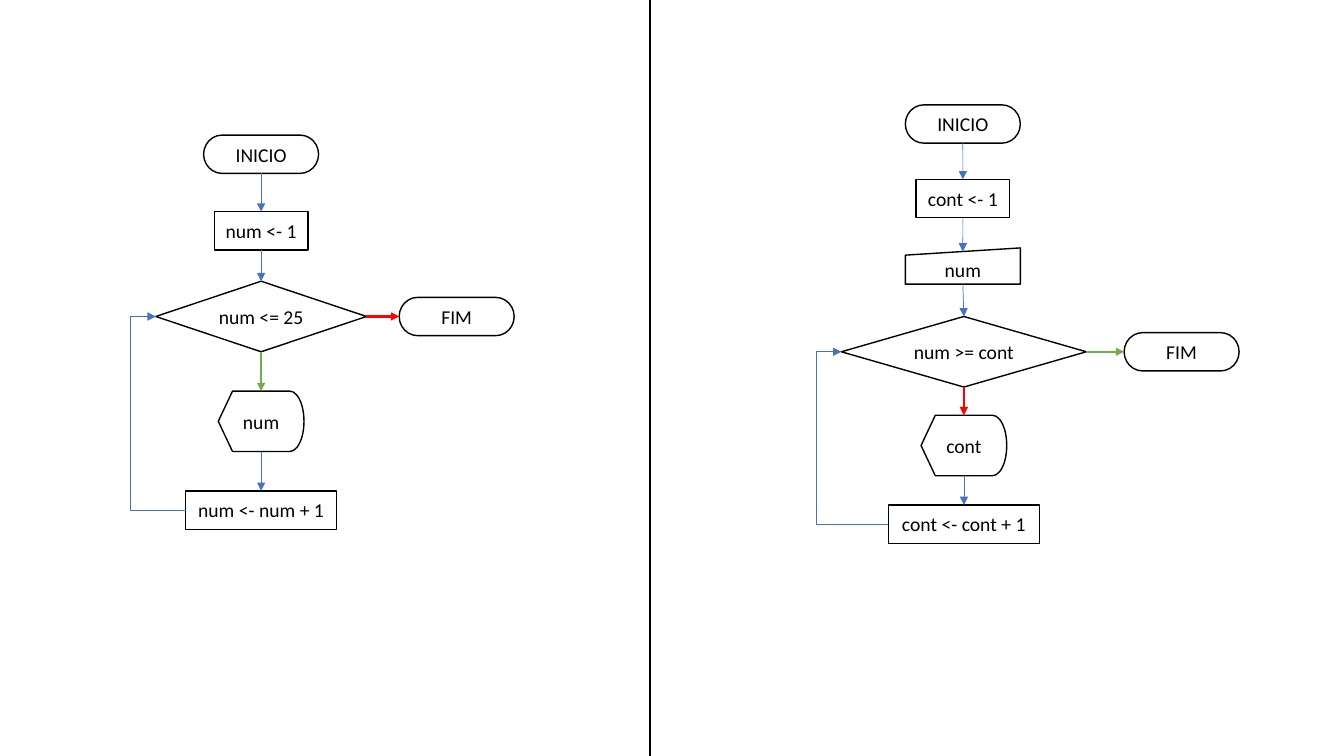
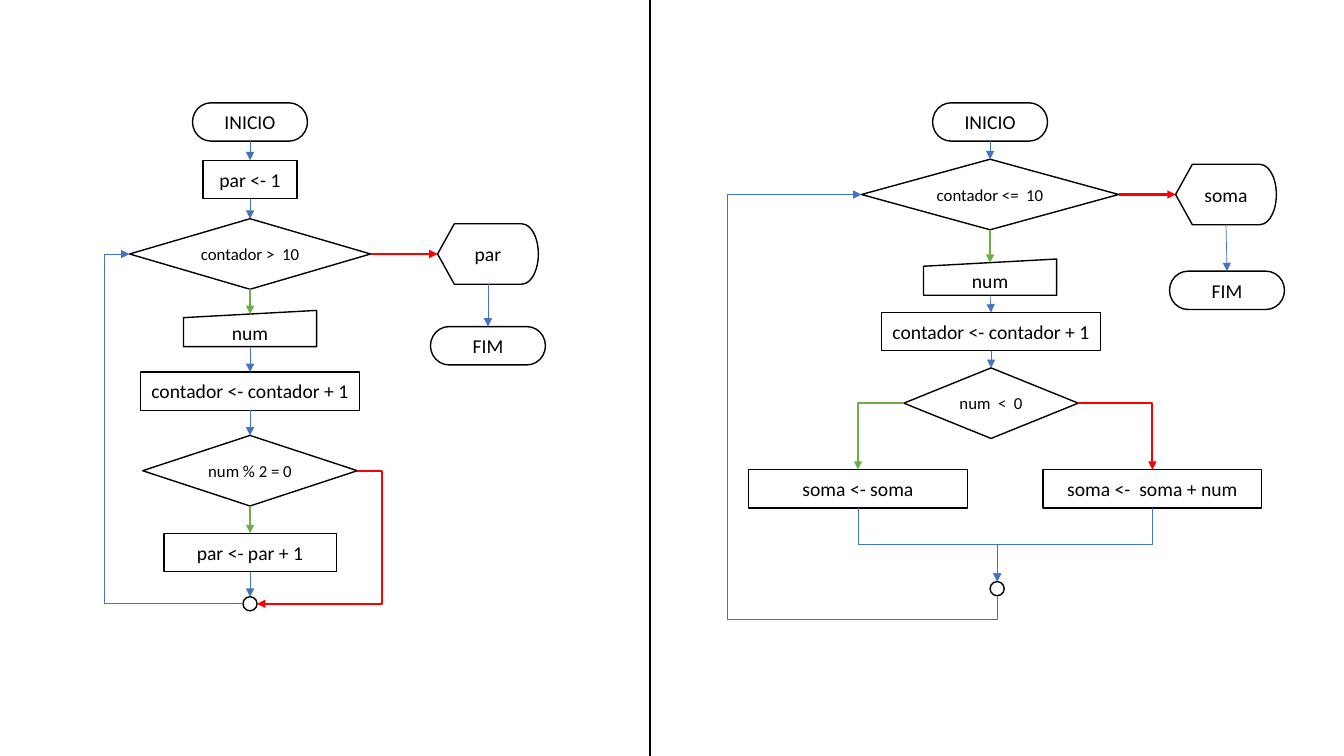
from lxml import etree
from pptx import Presentation
from pptx.dml.color import RGBColor
from pptx.enum.shapes import MSO_CONNECTOR, MSO_SHAPE
from pptx.enum.text import MSO_ANCHOR, PP_ALIGN
from pptx.oxml.ns import qn
from pptx.util import Inches, Pt

BLACK = RGBColor(0x00, 0x00, 0x00)
BLUE = RGBColor(0x44, 0x72, 0xC4)
GREEN = RGBColor(0x70, 0xAD, 0x47)
RED = RGBColor(0xFF, 0x00, 0x00)
FONT = "Calibri"
SIZE = 14
WIDE, HIGH = 13.33, 7.5
SPLIT = 6.45

STRAIGHT, ELBOW = MSO_CONNECTOR.STRAIGHT, MSO_CONNECTOR.ELBOW
CENTER, MIDDLE = PP_ALIGN.CENTER, MSO_ANCHOR.MIDDLE
OVAL = MSO_SHAPE.OVAL

KINDS = {
    "term": (MSO_SHAPE.FLOWCHART_TERMINATOR, 0.38),
    "step": (MSO_SHAPE.FLOWCHART_PROCESS, 0.38),
    "test": (MSO_SHAPE.FLOWCHART_DECISION, 0.7),
    "show": (MSO_SHAPE.FLOWCHART_DISPLAY, 0.6),
    "input": (MSO_SHAPE.FLOWCHART_MANUAL_INPUT, 0.36),
    "dot": (OVAL, 0.14),
}
SITES = {"t": (0, 0.5, 0), "l": (1, 0, 0.5), "b": (2, 0.5, 1), "r": (3, 1, 0.5)}

COUNT = {
    "nodes": {
        "start": ("term", 2.59, 1.34, 1.14, "INICIO"),
        "set": ("step", 2.59, 2.1, 0.93, "num <- 1"),
        "test": ("test", 2.59, 2.79, 2.09, "num <= 25"),
        "show": ("show", 2.59, 3.88, 0.85, "num"),
        "add": ("step", 2.59, 4.87, 1.5, "num <- num + 1"),
        "end": ("term", 4.53, 2.95, 1.14, "FIM"),
    },
    "lines": [
        ("start", "set", "bt", BLUE),
        ("set", "test", "bt", BLUE),
        ("test", "end", "rl", RED),
        ("test", "show", "bt", GREEN),
        ("show", "add", "bt", BLUE),
    ],
    "bends": [("add", "test", "ll", BLUE, 3, 180, "", [1.86])],
}
LIMIT = {
    "nodes": {
        "start": ("term", 9.55, 1.04, 1.14, "INICIO"),
        "set": ("step", 9.55, 1.78, 0.93, "cont <- 1"),
        "read": ("input", 9.55, 2.46, 1.14, "num"),
        "test": ("test", 9.56, 3.14, 2.43, "num >= cont"),
        "show": ("show", 9.56, 4.12, 0.85, "cont"),
        "add": ("step", 9.56, 5.01, 1.5, "cont <- cont + 1"),
        "end": ("term", 11.72, 3.3, 1.14, "FIM"),
    },
    "lines": [
        ("start", "set", "bt", BLUE),
        ("set", "read", "bt", BLUE),
        ("read", "test", "bt", BLUE),
        ("test", "end", "rl", GREEN),
        ("test", "show", "bt", RED),
        ("show", "add", "bt", BLUE),
    ],
    "bends": [("add", "test", "ll", BLUE, 3, 180, "", [1.54])],
}
EVEN = {
    "nodes": {
        "start": ("term", 2.48, 1.02, 1.14, "INICIO"),
        "set": ("step", 2.48, 1.59, 0.93, "par <- 1"),
        "test": ("test", 2.48, 2.17, 2.39, "contador >  10"),
        "read": ("input", 2.48, 3.08, 1.32, "num"),
        "add": ("step", 2.48, 3.69, 2.17, "contador <- contador + 1"),
        "check": ("test", 2.48, 4.32, 2.13, "num % 2 = 0"),
        "even": ("step", 2.48, 5.29, 1.71, "par <- par + 1"),
        "join": ("dot", 2.48, 5.92, 0.14, ""),
        "show": ("show", 4.84, 2.22, 1, "par"),
        "end": ("term", 4.84, 3.24, 1.14, "FIM"),
    },
    "lines": [
        ("start", "set", "bt", BLUE),
        ("set", "test", "bt", BLUE),
        ("test", "read", "bt", GREEN),
        ("read", "add", "bt", BLUE),
        ("add", "check", "bt", BLUE),
        ("check", "even", "bt", GREEN),
        ("even", "join", "bt", BLUE),
        ("test", "show", "rl", RED),
        ("show", "end", "bt", BLUE),
    ],
    "bends": [
        ("check", "join", "rr", RED, 3, 0, "flipH", [-0.25]),
        ("join", "test", "ll", BLUE, 3, 180, "", [1.22]),
    ],
}
TOTAL = {
    "nodes": {
        "start": ("term", 9.82, 1.02, 1.14, "INICIO"),
        "test": ("test", 9.82, 1.58, 2.55, "contador <=  10"),
        "read": ("input", 9.82, 2.57, 1.32, "num"),
        "add": ("step", 9.83, 3.1, 2.17, "contador <- contador + 1"),
        "check": ("test", 9.83, 3.65, 1.73, "num  <  0"),
        "keep": ("step", 8.51, 4.66, 2.17, "soma <- soma"),
        "sum": ("step", 11.43, 4.66, 2.17, "soma <-  soma + num"),
        "join": ("dot", 9.89, 5.77, 0.14, ""),
        "show": ("show", 12.16, 1.63, 1, "soma"),
        "end": ("term", 12.17, 2.69, 1.14, "FIM"),
    },
    "lines": [
        ("start", "test", "bt", BLUE),
        ("test", "read", "bt", GREEN),
        ("read", "add", "bt", BLUE),
        ("add", "check", "bt", BLUE),
        ("test", "show", "rl", RED),
        ("show", "end", "bt", BLUE),
    ],
    "bends": [
        ("check", "sum", "rt", RED, 2, 0, "", []),
        ("check", "keep", "lt", GREEN, 2, 180, "flipV", []),
        ("sum", "join", "bt", BLUE, 3, 90, "", [0.5]),
        ("keep", "join", "bt", BLUE, 3, 270, "flipH", [0.5]),
        ("join", "test", "bl", BLUE, 4, 90, "flipH", [-0.06, 1.99]),
    ],
}
SLIDES = [(14, [COUNT, LIMIT]), (12, [EVEN, TOTAL])]


def add_node(slide, node, small):
    """Draw one flowchart symbol with its label."""
    kind, mid, top, width, label = node
    form, height = KINDS[kind]
    shape = slide.shapes.add_shape(
        form, Inches(mid - width / 2), Inches(top), Inches(width), Inches(height))
    shape.shadow.inherit = False
    shape.fill.background()
    shape.line.color.rgb = BLACK
    shape.line.width = Pt(1)
    if label:
        frame = shape.text_frame
        frame.margin_left = frame.margin_right = 0
        frame.margin_top = frame.margin_bottom = 0
        frame.word_wrap = True
        frame.vertical_anchor = MIDDLE
        frame.text = label
        para = frame.paragraphs[0]
        para.alignment = CENTER
        font = para.runs[0].font
        font.name = FONT
        font.size = Pt(small if kind == "test" else SIZE)
        font.color.rgb = BLACK
    return shape


def find_site(shape, side):
    """Return the site number and the point on one side of a symbol."""
    index, across, down = SITES[side]
    if shape.auto_shape_type == OVAL:
        index *= 2
    elif shape.auto_shape_type == KINDS["input"][0] and side == "t":
        down = 0.1
    return (index, int(shape.left + across * shape.width),
            int(shape.top + down * shape.height))


def add_line(slide, style, ends, color, weight):
    """Draw a connector without a shadow."""
    line = slide.shapes.add_connector(style, *ends)
    line.line.color.rgb = color
    line.line.width = Pt(weight)
    etree.SubElement(line._element.spPr, qn("a:effectLst"))
    return line


def link(slide, nodes, names, sides, color, style):
    """Join two symbols with a glued arrow."""
    shapes = [nodes[name] for name in names]
    sites = [find_site(*pair) for pair in zip(shapes, sides)]
    ends = [value for site in sites for value in site[1:]]
    line = add_line(slide, style, ends, color, 0.5 if color == BLUE else 1.5)
    glue = line._element.find(".//" + qn("p:cNvCxnSpPr"))
    for tag, shape, site in zip(("a:stCxn", "a:endCxn"), shapes, sites):
        etree.SubElement(glue, qn(tag), id=str(shape.shape_id), idx=str(site[0]))
    edge = line._element.spPr.find(qn("a:ln"))
    etree.SubElement(edge, qn("a:tailEnd"), type="triangle")
    return line


def bend(line, count, turn, flip, ratios):
    """Turn an elbow and set where its corners fall."""
    if turn in (90, 270):
        left, top, width, height = line.left, line.top, line.width, line.height
        line.left = left + (width - height) // 2
        line.top = top + (height - width) // 2
        line.width, line.height = height, width
    frame = line._element.spPr.find(qn("a:xfrm"))
    for name in ("flipH", "flipV"):
        frame.attrib.pop(name, None)
    if turn:
        frame.set("rot", str(turn * 60000))
    if flip:
        frame.set(flip, "1")
    form = line._element.spPr.find(qn("a:prstGeom"))
    form.set("prst", f"bentConnector{count}")
    guides = form.find(qn("a:avLst"))
    for index, ratio in enumerate(ratios, 1):
        etree.SubElement(guides, qn("a:gd"), name=f"adj{index}",
                         fmla=f"val {round(ratio * 100000)}")


def add_flow(slide, flow, small):
    """Draw one flowchart."""
    nodes = {name: add_node(slide, node, small)
             for name, node in flow["nodes"].items()}
    for start, end, sides, color in flow["lines"]:
        link(slide, nodes, (start, end), sides, color, STRAIGHT)
    for start, end, sides, color, *route in flow["bends"]:
        bend(link(slide, nodes, (start, end), sides, color, ELBOW), *route)


def main():
    """Build the deck."""
    deck = Presentation()
    deck.slide_width, deck.slide_height = Inches(WIDE), Inches(HIGH)
    for small, flows in SLIDES:
        slide = deck.slides.add_slide(deck.slide_layouts[6])
        ends = (Inches(SPLIT), 0, Inches(SPLIT), Inches(HIGH))
        add_line(slide, STRAIGHT, ends, BLACK, 1.5)
        for flow in flows:
            add_flow(slide, flow, small)
    deck.save("out.pptx")


if __name__ == "__main__":
    main()
